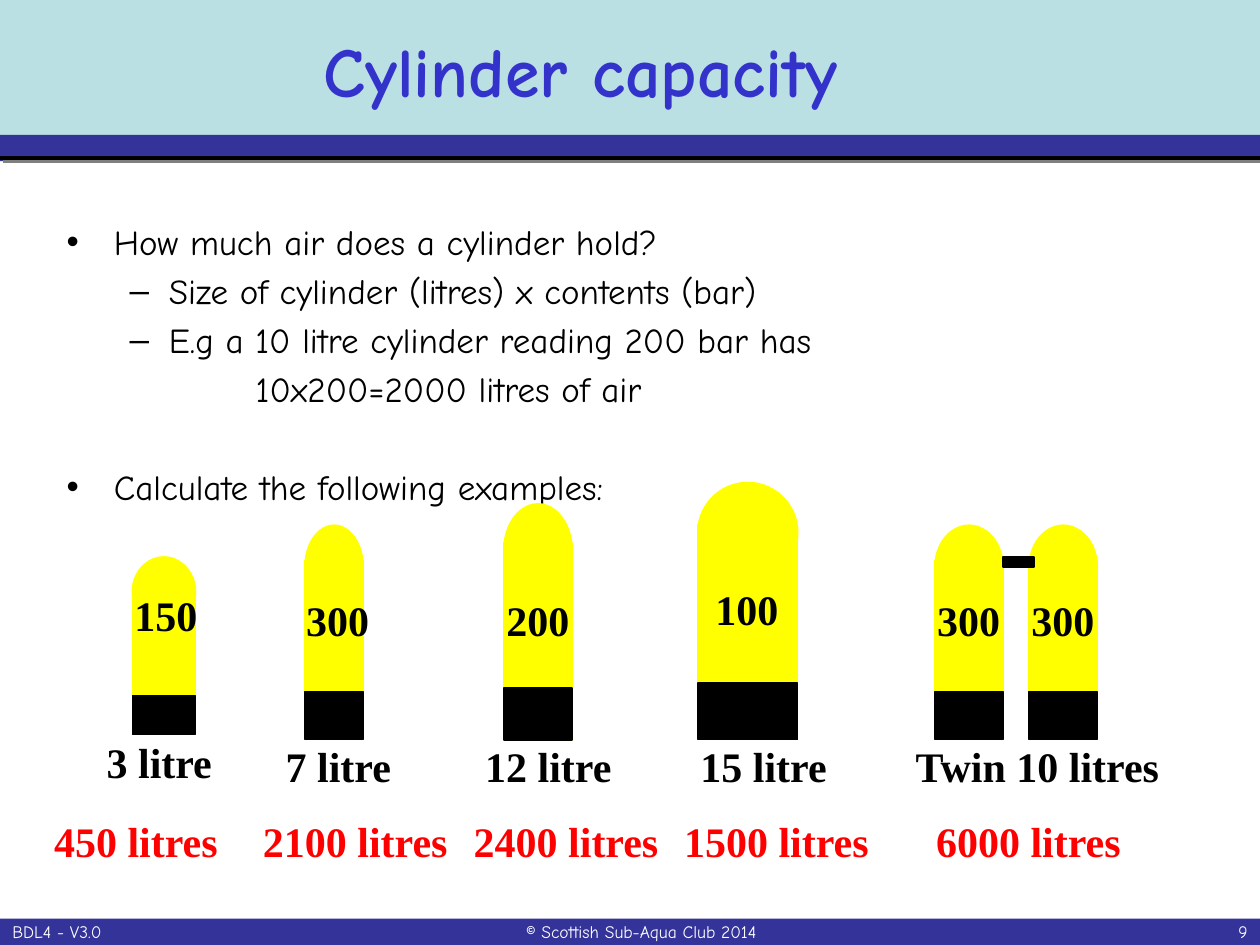
from dataclasses import dataclass

from lxml import etree
from pptx import Presentation
from pptx.dml.color import RGBColor
from pptx.enum.shapes import MSO_CONNECTOR, MSO_SHAPE
from pptx.enum.text import MSO_ANCHOR, MSO_AUTO_SIZE, PP_ALIGN
from pptx.oxml import parse_xml
from pptx.oxml.ns import nsdecls, qn
from pptx.util import Cm, Pt

RECT, OVAL = MSO_SHAPE.RECTANGLE, MSO_SHAPE.OVAL
TOP, MIDDLE = MSO_ANCHOR.TOP, MSO_ANCHOR.MIDDLE
LEFT, CENTER, RIGHT = PP_ALIGN.LEFT, PP_ALIGN.CENTER, PP_ALIGN.RIGHT

COLORS = {
    "band": "333399", "header": "BBE0E3", "title": "3333CC", "tank": "FFFF00",
    "black": "000000", "white": "FFFFFF", "answer": "FF0000", "shadow": "808080",
}
TITLE = {"name": "Comic Neue", "size": Pt(40), "bold": True}
BODY = {"name": "Comic Neue", "size": Pt(20), "bold": False}
FOOTER = {"name": "Comic Neue", "size": Pt(10), "bold": False}
LABEL = {"name": "Times New Roman", "size": Pt(24), "bold": True}

WIDTH, HEIGHT = 25.4, 19.05
FOOTER_TOP, FOOTER_HEIGHT = 18.52, 0.53
TEXT_HEIGHT, GAUGE_WIDTH = 1.27, 1.78
ANSWER_TOP = 16.31


@dataclass
class Tank:
    """Lengths in cm; the vertical ones are measured from the slide top."""
    left: float
    width: float
    top: float
    dome: float
    shoulder: float
    base: float
    bottom: float
    gauge: str
    gauge_left: float
    gauge_top: float


@dataclass
class Example:
    tanks: list[Tank]
    label: str
    label_box: tuple[float, float, float]  # left, top, width
    answer: str
    answer_left: float
    answer_width: float


@dataclass
class Bullet:
    text: str
    level: int
    margin: float
    indent: float
    mark: str
    before: float


def twin(left: float) -> Tank:
    return Tank(left, 1.37, 10.59, 1.68, 11.3, 13.94, 14.91, "300", left - 0.21, 11.86)


EXAMPLES = [
    Example([Tank(2.67, 1.27, 11.23, 1.4, 11.81, 14.02, 14.81, "150", 2.46, 11.76)],
            "3 litre", (1.9, 14.73, 2.64), "450 litres", 0.84, 3.84),
    Example([Tank(6.15, 1.17, 10.59, 1.68, 11.3, 13.94, 14.91, "300", 5.92, 11.86)],
            "7 litre", (5.51, 14.81, 2.64), "2100 litres", 5.05, 4.24),
    Example([Tank(10.16, 1.37, 10.16, 1.85, 10.95, 13.87, 14.92, "200", 9.96, 11.86)],
            "12 litre", (9.53, 14.81, 3.07), "2400 litres", 9.3, 4.24),
    Example([Tank(14.07, 2.01, 9.73, 2.01, 10.59, 13.77, 14.91, "100", 14.17, 11.63)],
            "15 litre", (13.87, 14.81, 3.07), "1500 litres", 13.54, 4.24),
    Example([twin(18.85), twin(20.75)],
            "Twin 10 litres", (18.21, 14.81, 5.49), "6000 litres", 18.62, 4.24),
]

BULLETS = [
    Bullet("How much air does a cylinder hold?", 0, 0.95, -0.95, "•", 0),
    Bullet("Size of cylinder (litres) x contents (bar)", 1, 2.06, -0.79, "–", 4),
    Bullet("E.g a 10 litre cylinder reading 200 bar has", 1, 2.06, -0.79, "–", 4),
    Bullet("10x200=2000 litres of air", 3, 3.81, 0, "", 4),
    Bullet("Calculate the following examples:", 0, 0.95, -0.95, "•", 32),
]


def rgb(color: str) -> RGBColor:
    return RGBColor.from_string(COLORS[color])


def add_run(p, text: str, style: dict, color: str) -> None:
    r = p.add_run()
    r.text = text
    for name, value in style.items():
        setattr(r.font, name, value)
    r.font.color.rgb = rgb(color)


def place(sp, left: float, top: float, width: float, height: float) -> None:
    sp.left, sp.top, sp.width, sp.height = map(Cm, (left, top, width, height))


def add_block(shapes, kind, left: float, top: float, width: float, height: float,
              color: str, outlined: bool = True) -> None:
    sp = shapes.add_shape(kind, Cm(left), Cm(top), Cm(width), Cm(height))
    sp.shadow.inherit = False
    sp.fill.solid()
    sp.fill.fore_color.rgb = rgb(color)
    if outlined:
        sp.line.color.rgb = rgb(color)
        sp.line.width = Pt(1)
    else:
        sp.line.fill.background()


def add_text(shapes, text: str, left: float, top: float, width: float, height: float,
             style: dict, color: str, align=LEFT, anchor=TOP, wrap: bool = False) -> None:
    tf = shapes.add_textbox(Cm(left), Cm(top), Cm(width), Cm(height)).text_frame
    tf.word_wrap = wrap
    tf.vertical_anchor = anchor
    p = tf.paragraphs[0]
    p.alignment = align
    add_run(p, text, style, color)


def add_bands(shapes) -> None:
    """Coloured header and footer bands with the shadowed rule."""
    for top, height, color in ((FOOTER_TOP, FOOTER_HEIGHT, "band"),
                               (0, 2.72, "header"), (2.72, 0.53, "band")):
        add_block(shapes, RECT, 0, top, WIDTH, height, color, outlined=False)
    rule = shapes.add_connector(MSO_CONNECTOR.STRAIGHT, 0, Cm(3.18), Cm(WIDTH), Cm(3.18))
    rule.line.color.rgb = rgb("black")
    rule.line.width = Pt(2.25)
    rule._element.spPr.append(parse_xml(
        f'<a:effectLst {nsdecls("a")}><a:outerShdw dist="{Pt(2.8)}" dir="2700000">'
        f'<a:srgbClr val="{COLORS["shadow"]}"/></a:outerShdw></a:effectLst>'))


def fill_title(sp) -> None:
    place(sp, 0.89, 0.71, 21.62, 1.4)
    tf = sp.text_frame
    tf.auto_size = MSO_AUTO_SIZE.NONE
    tf.vertical_anchor = MIDDLE
    tf.paragraphs[0].alignment = CENTER
    add_run(tf.paragraphs[0], "Cylinder capacity", TITLE, "title")


def fill_body(sp) -> None:
    place(sp, 1.09, 4.32, 22.86, 12.57)
    tf = sp.text_frame
    tf.auto_size = MSO_AUTO_SIZE.NONE
    for i, b in enumerate(BULLETS):
        p = tf.add_paragraph() if i else tf.paragraphs[0]
        p.level = b.level
        p.space_before = Pt(b.before)
        pPr = p._p.get_or_add_pPr()
        pPr.set("marL", str(Cm(b.margin)))
        pPr.set("indent", str(Cm(b.indent)))
        if b.mark:
            etree.SubElement(pPr, qn("a:buChar"), char=b.mark)
        else:
            etree.SubElement(pPr, qn("a:buNone"))
        add_run(p, b.text, BODY, "black")


def add_tank(shapes, t: Tank) -> None:
    add_block(shapes, OVAL, t.left, t.top, t.width, t.dome, "tank")
    add_block(shapes, RECT, t.left, t.shoulder, t.width, t.bottom - t.shoulder, "tank")
    add_block(shapes, RECT, t.left, t.base, t.width, t.bottom - t.base, "black")
    add_text(shapes, t.gauge, t.gauge_left, t.gauge_top, GAUGE_WIDTH, TEXT_HEIGHT,
             LABEL, "black")


def add_example(shapes, e: Example) -> None:
    group = shapes.add_group_shape().shapes
    for t in e.tanks:
        add_tank(group, t)
    for a, b in zip(e.tanks, e.tanks[1:]):
        end = a.left + a.width
        add_block(group, RECT, end, 11.23, b.left - end + 0.1, 0.2, "black")
    add_text(group, e.label, *e.label_box, TEXT_HEIGHT, LABEL, "black")
    add_text(shapes, e.answer, e.answer_left, ANSWER_TOP, e.answer_width, TEXT_HEIGHT,
             LABEL, "answer")


def main() -> None:
    prs = Presentation()
    prs.slide_width, prs.slide_height = Cm(WIDTH), Cm(HEIGHT)
    s = prs.slides.add_slide(prs.slide_layouts[1])
    title, body = s.placeholders
    add_bands(s.shapes)
    for sp in (title, body):  # bring the placeholders in front of the bands
        s.shapes._spTree.append(sp._element)
    fill_title(title)
    fill_body(body)
    for e in EXAMPLES:
        add_example(s.shapes, e)
    for text, left, width, align in (("BDL4 - V3.0", 0, 6.91, LEFT),
                                     ("© Scottish Sub-Aqua Club 2014", 7.54, 10.77, CENTER),
                                     ("9", 18.9, 6.5, RIGHT)):
        add_text(s.shapes, text, left, FOOTER_TOP, width, FOOTER_HEIGHT, FOOTER, "white",
                 align, MIDDLE, wrap=True)
    prs.save("out.pptx")


if __name__ == "__main__":
    main()
